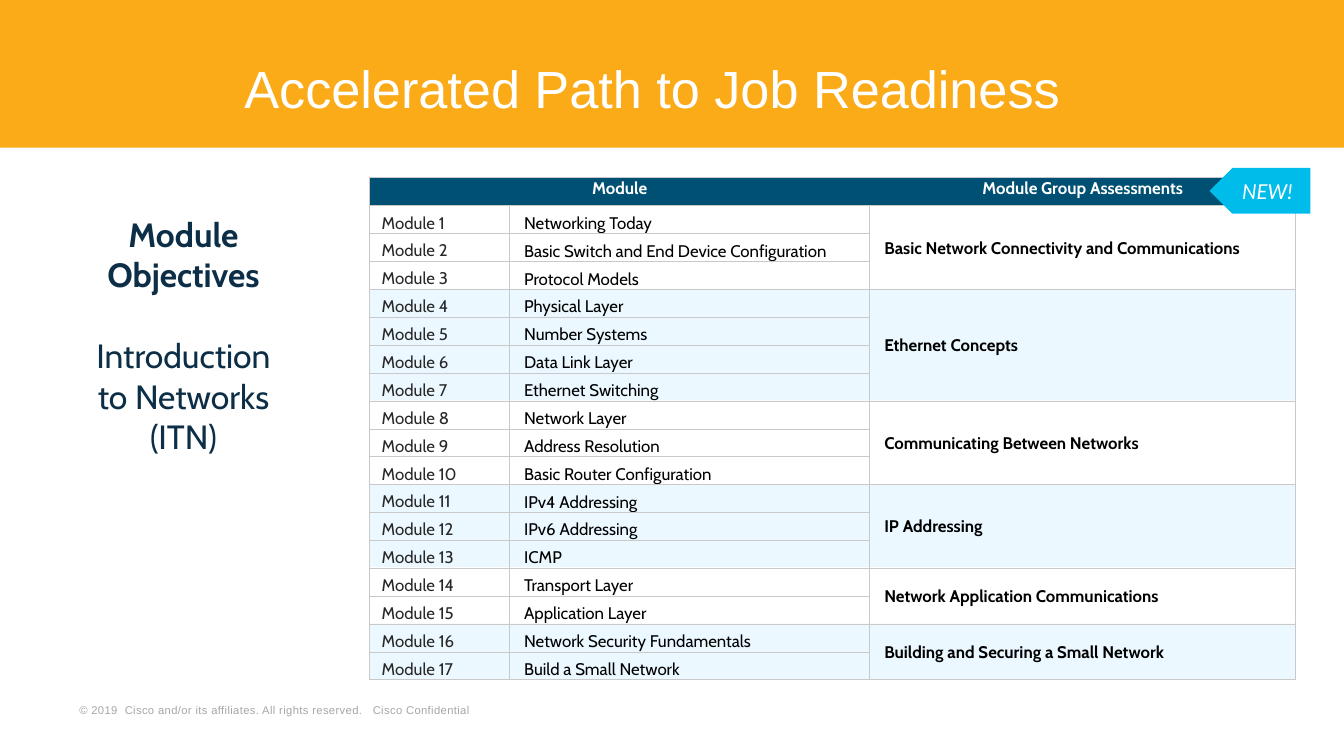
from pptx import Presentation
from pptx.dml.color import RGBColor
from pptx.enum.shapes import MSO_SHAPE as Shape
from pptx.enum.text import MSO_ANCHOR as Anchor, PP_ALIGN as Align
from pptx.oxml.ns import qn
from pptx.util import Inches, Pt
from lxml.etree import SubElement

NO_GRID_STYLE = "{2D5ABB26-0587-4C30-8999-92F81FD0307C}"
HEADER_HEIGHT = 0.21
TABLE_BOX = (2.75, 1.32, 6.89, 3.74)
COLUMNS = (1.04, 2.68, 3.17)
GROUPS = [
    ("Basic Network Connectivity and Communications",
     ["Networking Today", "Basic Switch and End Device Configuration", "Protocol Models"]),
    ("Ethernet Concepts",
     ["Physical Layer", "Number Systems", "Data Link Layer", "Ethernet Switching"]),
    ("Communicating Between Networks",
     ["Network Layer", "Address Resolution", "Basic Router Configuration"]),
    ("IP Addressing",
     ["IPv4 Addressing", "IPv6 Addressing", "ICMP"]),
    ("Network Application Communications",
     ["Transport Layer", "Application Layer"]),
    ("Building and Securing a Small Network",
     ["Network Security Fundamentals", "Build a Small Network"]),
]


def rgb(value):
    return RGBColor.from_string(value)


def write(p, text, size=9, font="Cabin", color="000000", bold=False, italic=False,
          align=Align.LEFT, line=None, before=None, tracking=None):
    p.alignment = align
    if line:
        p.line_spacing = line
    if before:
        p.space_before = Pt(before)
    r = p.add_run()
    r.text = text
    r.font.size, r.font.name = Pt(size), font
    r.font.bold, r.font.italic = bold, italic
    r.font.color.rgb = rgb(color)
    if tracking:
        r.font._element.set("spc", str(tracking))


class Deck:
    border = "C9C9C9"
    header = "005073"

    def __init__(self):
        self.prs = Presentation()
        self.prs.slide_width = Inches(10)
        self.prs.slide_height = Inches(10) * 9 // 16
        self.s = self.prs.slides.add_slide(self.prs.slide_layouts[6])

    def shape(self, kind, box, color, alpha=None, rotation=0):
        sp = self.s.shapes.add_shape(kind, *map(Inches, box))
        sp.shadow.inherit = False
        sp.fill.solid()
        sp.fill.fore_color.rgb = rgb(color)
        sp.line.fill.background()
        sp.rotation = rotation
        if alpha:
            clr = sp.fill._xPr.find(".//" + qn("a:srgbClr"))
            SubElement(clr, qn("a:alpha"), val=str(alpha * 1000))

    def text(self, box, lines, anchor=Anchor.TOP, margins=(0.1, 0.05), **style):
        tf = self.s.shapes.add_textbox(*map(Inches, box)).text_frame
        tf.word_wrap, tf.vertical_anchor = True, anchor
        tf.margin_left = tf.margin_right = Inches(margins[0])
        tf.margin_top = tf.margin_bottom = Inches(margins[1])
        for i, (text, extra) in enumerate(lines):
            p = tf.add_paragraph() if i else tf.paragraphs[0]
            write(p, text, **{**style, **extra})

    def table(self, box, columns, rows):
        tbl = self.s.shapes.add_table(rows, len(columns), *map(Inches, box)).table
        tbl.first_row = tbl.horz_banding = False
        tbl._tbl.tblPr.find(qn("a:tableStyleId")).text = NO_GRID_STYLE
        for column, width in zip(tbl.columns, columns):
            column.width = Inches(width)
        for i, row in enumerate(tbl.rows):
            row.height = Inches((box[3] - HEADER_HEIGHT) / (rows - 1) if i else HEADER_HEIGHT)
        for row in range(rows):
            for col in range(len(columns)):
                sides = "LRTB" if row else ("LTB", "TB", "RTB")[col]
                self.frame_cell(tbl.cell(row, col), sides)
        return tbl

    def frame_cell(self, cell, sides):
        tcPr = cell._tc.get_or_add_tcPr()
        for side in sides:
            ln = SubElement(tcPr, qn("a:ln" + side), w=str(Pt(0.25)))
            fill = SubElement(ln, qn("a:solidFill"))
            SubElement(fill, qn("a:srgbClr"), val=self.border)
        cell.fill.background()

    def cell(self, cell, text, left=0.11, margin=0.01, anchor=Anchor.MIDDLE, fill=None, **style):
        cell.margin_left, cell.margin_right = Inches(left), Inches(margin)
        cell.margin_top, cell.margin_bottom = Inches(margin), 0
        cell.vertical_anchor = anchor
        if fill:
            cell.fill.solid()
            cell.fill.fore_color.rgb = rgb(fill)
        write(cell.text_frame.paragraphs[0], text, **style)


def module_table(deck):
    count = sum(len(modules) for _, modules in GROUPS)
    tbl = deck.table(TABLE_BOX, COLUMNS, count + 1)
    tbl.cell(0, 0).merge(tbl.cell(0, 1))
    for col, text in ((0, "Module"), (2, "Module Group Assessments")):
        deck.cell(tbl.cell(0, col), text, left=0, margin=0, fill=deck.header,
                  color="FFFFFF", bold=True, align=Align.CENTER, line=Pt(8))
    row = 1
    for group, modules in GROUPS:
        tbl.cell(row, 2).merge(tbl.cell(row + len(modules) - 1, 2))
        deck.cell(tbl.cell(row, 2), group, bold=True)
        for module in modules:
            deck.cell(tbl.cell(row, 0), f"Module {row}", left=0.09, color="282828", line=Pt(14))
            deck.cell(tbl.cell(row, 1), module, anchor=Anchor.BOTTOM)
            row += 1


def main():
    deck = Deck()
    deck.text((0.52, 5.19, 3.72, 0.17),
              [("© 2019  Cisco and/or its affiliates. All rights reserved.   Cisco Confidential", {})],
              anchor=Anchor.BOTTOM, margins=(0.07, 0.03),
              size=6, font="Arial", color="A6A6A6", tracking=20)
    for top, height in ((2.15, 0.83), (3.6, 0.62), (4.64, 0.42)):
        deck.shape(Shape.RECTANGLE, (2.75, top, 6.89, height), "B0E7FF", alpha=25)
    module_table(deck)
    deck.shape(Shape.RECTANGLE, (0, 0, 10, 1.1), "FBAB18")
    deck.text((1.72, 0.35, 7.93, 0.69), [("Accelerated Path to Job Readiness", {})],
              anchor=Anchor.MIDDLE, size=28, font="Arial", color="FFFFFF", line=0.8)
    deck.text((0.52, 1.54, 1.69, 1.92),
              [("Module", {"bold": True}), ("Objectives", {"bold": True}),
               ("Introduction to Networks (ITN)", {"before": 22})],
              size=18, color="0C2F47", align=Align.CENTER)
    deck.shape(Shape.PENTAGON, (9, 1.25, 0.75, 0.34), "00BCEB", rotation=180)
    deck.text((9.11, 1.28, 0.64, 0.29), [("NEW!", {})],
              size=11, font="Lato", color="FFFFFF", italic=True, align=Align.CENTER)
    deck.prs.save("out.pptx")


if __name__ == "__main__":
    main()
